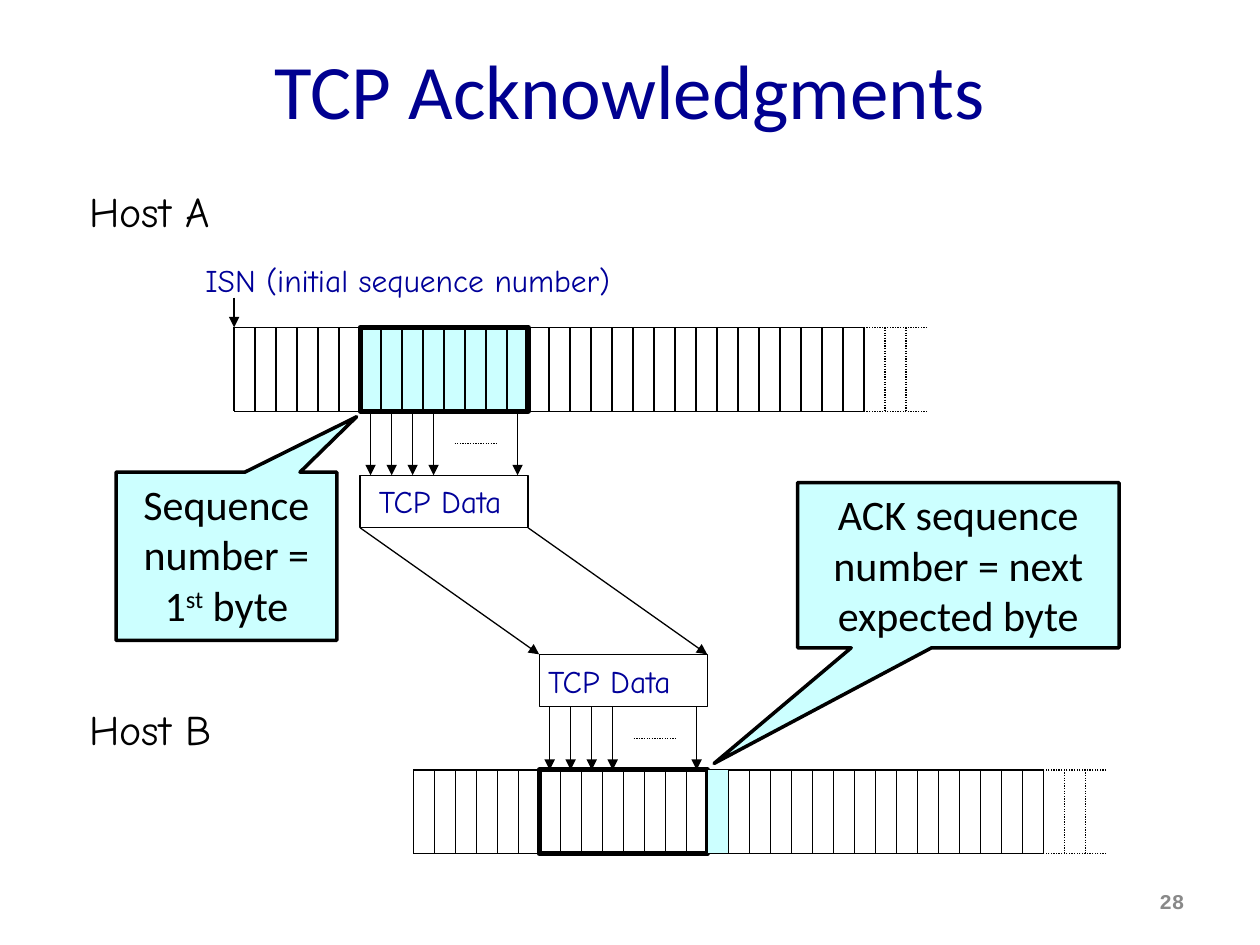
from lxml import etree
from pptx import Presentation
from pptx.dml.color import RGBColor
from pptx.enum import dml, shapes, text
from pptx.oxml import ns
from pptx.util import Cm, Pt

COLORS = {"title": "000090", "label": "000099", "black": "000000",
          "white": "FFFFFF", "cyan": "CCFFFF", "gray": "898989"}
HAND, SANS, MONO = "Comic Neue", "Calibri", "Courier New"

CELL = 12.7 / 30            # one byte of a stream
STREAM_HEIGHT = 1.69
DATA_HEIGHT = 1.06
FIRST, COUNT = 6, 8         # bytes carried in the segment
SOLID_CELLS, ALL_CELLS = 30, 33
SEGMENT_WIDTH = COUNT * CELL
HOST_A = {"left": 4.72, "top": 6.6, "data_top": 9.58}
HOST_B = {"left": 8.33, "top": 15.52, "data_top": 13.19}
HOSTS = (HOST_A, HOST_B)

deck = Presentation()
deck.slide_width, deck.slide_height = Cm(25.4), Cm(19.05)
page = deck.slides.add_slide(deck.slide_layouts[5])


def draw_line(x1, y1, x2, y2, dotted=False, arrow=False):
    line = page.shapes.add_connector(
        shapes.MSO_CONNECTOR.STRAIGHT, Cm(x1), Cm(y1), Cm(x2), Cm(y2))
    line.line.width = Pt(0.75)
    line.line.color.rgb = RGBColor.from_string(COLORS["black"])
    if dotted:
        line.line.dash_style = dml.MSO_LINE.ROUND_DOT
    properties = line.line._get_or_add_ln()
    if arrow:
        etree.SubElement(properties, ns.qn("a:tailEnd"), type="triangle")
    etree.SubElement(line._element.spPr, ns.qn("a:effectLst"))


def draw_box(x, y, width, height, fill, weight, kind=shapes.MSO_SHAPE.RECTANGLE):
    box = page.shapes.add_shape(kind, Cm(x), Cm(y), Cm(width), Cm(height))
    box.shadow.inherit = False
    if fill:
        box.fill.solid()
        box.fill.fore_color.rgb = RGBColor.from_string(COLORS[fill])
    else:
        box.fill.background()
    box.line.width = Pt(weight)
    box.line.color.rgb = RGBColor.from_string(COLORS["black"])
    return box


# Title
title = page.shapes.title
title.left, title.top, title.width, title.height = Cm(1.27), Cm(0.2), Cm(22.86), Cm(3.18)
title.text_frame.vertical_anchor = text.MSO_ANCHOR.MIDDLE
para = title.text_frame.paragraphs[0]
para.alignment = text.PP_ALIGN.CENTER
span = para.add_run()
span.text = "TCP Acknowledgments"
span.font.size, span.font.name = Pt(44), SANS
span.font.color.rgb = RGBColor.from_string(COLORS["title"])

# Byte streams, with the sent segment of host A shaded behind its cell borders
for host in HOSTS:
    host["segment"] = host["left"] + FIRST * CELL
draw_box(HOST_A["segment"], HOST_A["top"], SEGMENT_WIDTH, STREAM_HEIGHT, "cyan", 3)
for host in HOSTS:
    left, top = host["left"], host["top"]
    bottom = top + STREAM_HEIGHT
    solid_end = left + SOLID_CELLS * CELL
    for y in (top, bottom):
        draw_line(left, y, solid_end, y)
        draw_line(left + ALL_CELLS * CELL, y, solid_end, y, dotted=True)
    for cell in range(ALL_CELLS):
        x = left + cell * CELL
        draw_line(x, top, x, bottom, dotted=cell > SOLID_CELLS)

# Data segments and the way they travel
for host in HOSTS:
    draw_box(host["segment"], host["data_top"], SEGMENT_WIDTH, DATA_HEIGHT, "white", 0.75)
for offset in (0, SEGMENT_WIDTH):
    draw_line(HOST_A["segment"] + offset, HOST_A["data_top"] + DATA_HEIGHT,
              HOST_B["segment"] + offset, HOST_B["data_top"], arrow=True)

# Bytes moving between streams and segments
byte_moves = (
    (HOST_A, HOST_A["top"] + STREAM_HEIGHT, HOST_A["data_top"]),
    (HOST_B, HOST_B["data_top"] + DATA_HEIGHT, HOST_B["top"]),
)
for host, start, end in byte_moves:
    for byte in (0, 1, 2, 3, COUNT - 1):
        x = host["segment"] + (byte + 0.5) * CELL
        draw_line(x, start, x, end, arrow=True)
    middle = (start + end) / 2
    draw_line(host["segment"] + 4.5 * CELL, middle,
              host["segment"] + 6.5 * CELL, middle, dotted=True)
draw_line(HOST_A["left"], 6.0, HOST_A["left"], HOST_A["top"], arrow=True)

# Labels
labels = (
    ("Host A", 1.55, 3.61, 3.28, 1.27, 24, "black"),
    ("Host B", 1.55, 14.05, 3.2, 1.27, 24, "black"),
    ("TCP Data", 7.39, 9.6, 3.25, 1.02, 18, "label"),
    ("TCP Data", 10.8, 13.23, 3.25, 1.02, 18, "label"),
    ("ISN (initial sequence number)", 3.89, 5.13, 9.35, 1.02, 18, "label"),
)
for words, x, y, width, height, size, color in labels:
    box = page.shapes.add_textbox(Cm(x), Cm(y), Cm(width), Cm(height))
    box.text_frame.word_wrap = False
    box.text_frame.auto_size = text.MSO_AUTO_SIZE.SHAPE_TO_FIT_TEXT
    span = box.text_frame.paragraphs[0].add_run()
    span.text = words
    span.font.size, span.font.name = Pt(size), HAND
    span.font.color.rgb = RGBColor.from_string(COLORS[color])

# Received segment and the next expected byte
draw_box(HOST_B["segment"], HOST_B["top"], SEGMENT_WIDTH, STREAM_HEIGHT, None, 3)
draw_box(HOST_B["segment"] + SEGMENT_WIDTH, HOST_B["top"], CELL, STREAM_HEIGHT, "cyan", 0.75)

# Callouts: place, pointer tip, and runs with their baseline shift
callouts = (
    ((2.34, 9.52, 4.45, 3.39), (0.59, -0.83),
     (("Sequence number = 1", 0), ("st", 30000), (" byte", 0))),
    ((16.08, 9.73, 6.48, 3.33), (-0.76, 1.2),
     (("ACK sequence number = next expected byte", 0),)),
)
for place, tip, runs in callouts:
    box = draw_box(*place, "cyan", 2, shapes.MSO_SHAPE.RECTANGULAR_CALLOUT)
    box.adjustments[0], box.adjustments[1] = tip
    box.text_frame.word_wrap = True
    box.text_frame.vertical_anchor = text.MSO_ANCHOR.TOP
    para = box.text_frame.paragraphs[0]
    para.alignment = text.PP_ALIGN.CENTER
    for words, baseline in runs:
        span = para.add_run()
        span.text = words
        span.font.size, span.font.name = Pt(24), SANS
        span.font.color.rgb = RGBColor.from_string(COLORS["black"])
        if baseline:
            span._r.get_or_add_rPr().set("baseline", str(baseline))

# Page number
box = page.shapes.add_textbox(Cm(18.2), Cm(17.66), Cm(5.93), Cm(1.01))
box.text_frame.word_wrap = True
box.text_frame.vertical_anchor = text.MSO_ANCHOR.MIDDLE
para = box.text_frame.paragraphs[0]
para.alignment = text.PP_ALIGN.RIGHT
span = para.add_run()
span.text = "28"
span.font.size, span.font.name, span.font.bold = Pt(12), MONO, True
span.font.color.rgb = RGBColor.from_string(COLORS["gray"])

deck.save("out.pptx")
